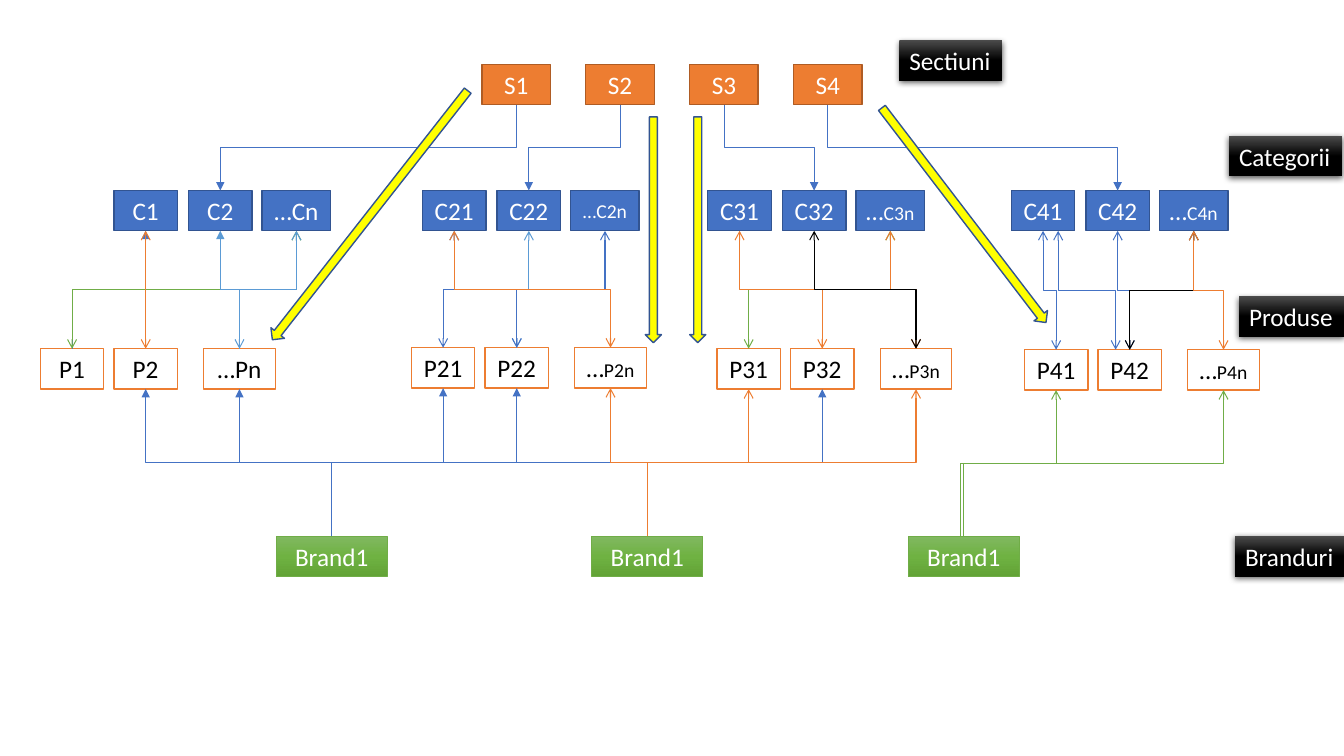
"""Build a one-slide diagram of sections, categories, products and brands."""
from copy import deepcopy

from lxml import etree
from pptx import Presentation
from pptx.dml.color import RGBColor
from pptx.enum.shapes import MSO_CONNECTOR, MSO_SHAPE
from pptx.enum.text import MSO_ANCHOR, MSO_AUTO_SIZE, PP_ALIGN
from pptx.oxml.ns import qn
from pptx.util import Pt

RECTANGLE, ARROW = MSO_SHAPE.RECTANGLE, MSO_SHAPE.RIGHT_ARROW
ELBOW = MSO_CONNECTOR.ELBOW
TOP, MIDDLE = MSO_ANCHOR.TOP, MSO_ANCHOR.MIDDLE
LEFT, CENTER = PP_ALIGN.LEFT, PP_ALIGN.CENTER
FIT = MSO_AUTO_SIZE.SHAPE_TO_FIT_TEXT
PX = 9144
BOX_HEIGHT = 40
COLORS = {
    "orange": "ED7D31", "rust": "AF5C24", "blue": "4472C4", "navy": "325491",
    "sky": "5B9BD5", "green": "70AD47", "yellow": "FFFF00", "white": "FFFFFF",
    "black": "000000", "gray": "4B4B4B", "leaf": "81B861", "grass": "6FB242",
    "moss": "62A336",
}
RGB = {name: RGBColor.from_string(value) for name, value in COLORS.items()}

deck = Presentation()
deck.slide_width, deck.slide_height = 1333 * PX, 750 * PX
page = deck.slides.add_slide(deck.slide_layouts[6])
boxes = {}


def add_box(text, left, top, width, *, fills, outline=None, weight=1, color="white",
            sizes=(18, 14), anchor=TOP, align=CENTER, wrap=True):
    """Add a rectangle; a bar in the text starts the second size."""
    box = page.shapes.add_shape(RECTANGLE, left * PX, top * PX, width * PX, BOX_HEIGHT * PX)
    box.shadow.inherit = False
    if len(fills) == 1:
        box.fill.solid()
        box.fill.fore_color.rgb = RGB[fills[0]]
    else:
        box.fill.gradient()
        box.fill.gradient_angle = 270
        stops = box.element.find(".//" + qn("a:gsLst"))
        stops.insert(1, deepcopy(stops[0]))
        for stop, fill, position in zip(box.fill.gradient_stops, fills, (0, 0.5, 1)):
            stop.color.rgb = RGB[fill]
            stop.position = position
    if outline:
        box.line.color.rgb = RGB[outline]
        box.line.width = Pt(weight)
    else:
        box.line.fill.background()
    frame = box.text_frame
    frame.word_wrap = wrap
    frame.vertical_anchor = anchor
    if anchor == TOP:
        frame.auto_size = FIT
    para = frame.paragraphs[0]
    para.alignment = align
    for part, size in zip(text.split("|"), sizes):
        span = para.add_run()
        span.text = part
        span.font.name = "Calibri"
        span.font.size = Pt(size)
        span.font.color.rgb = RGB[color]
    return box


def add_route(start, end, color, weight, head, tail, start_shift=0, end_shift=0):
    """Join two boxes with an elbow that leaves and arrives vertically."""
    down = start.top < end.top
    start_side, end_side = (2, 0) if down else (0, 2)
    x1 = start.left + start.width // 2 + start_shift * PX
    x2 = end.left + end.width // 2 + end_shift * PX
    y1 = start.top + (start.height if down else 0)
    y2 = end.top + (0 if down else end.height)
    route = page.shapes.add_connector(ELBOW, x1, y1, x2, y2)
    if not start_shift:
        route.begin_connect(start, start_side)
    if not end_shift:
        route.end_connect(end, end_side)
    route.width, route.height = abs(y2 - y1), abs(x2 - x1)
    route.left = (x1 + x2 - route.width) // 2
    route.top = (y1 + y2 - route.height) // 2
    frame = route.element.spPr.find(qn("a:xfrm"))
    frame.set("rot", str((90 if down else 270) * 60000))
    frame.set("flipH", "0")
    frame.set("flipV", "1" if (x2 > x1) == down else "0")
    route.line.color.rgb = RGB[color]
    route.line.width = Pt(weight)
    stroke = route.element.spPr.find(qn("a:ln"))
    for tag, kind in (("a:headEnd", head), ("a:tailEnd", tail)):
        etree.SubElement(stroke, qn(tag), type=kind)
    etree.SubElement(route.element.spPr, qn("a:effectLst"))


for index in range(4):
    name = f"S{index + 1}"
    boxes[name] = add_box(name, 478 + 103 * index, 64, 68, fills=["orange"], outline="rust")

categories = [
    (113, ("C1", "C2", "…Cn")), (419, ("C21", "C22", "…C2n")),
    (702, ("C31", "C32", "…|C3n")), (1003, ("C41", "C42", "…|C4n")),
]
for left, names in categories:
    for name, offset, width in zip(names, (0, 74, 147), (63, 63, 68)):
        boxes[name.lstrip("…|")] = add_box(
            name, left + offset, 189, width, fills=["blue"], outline="navy", anchor=MIDDLE,
            sizes=(14,) if name == "…C2n" else (18, 14))

products = [
    (40, 346, ("P1", "P2", "…Pn")), (408, 345, ("P21", "P22", "…|P2n")),
    (711, 346, ("P31", "P32", "…|P3n")), (1016, 347, ("P41", "P42", "…|P4n")),
]
for left, top, names in products:
    for name, offset, width in zip(names, (0, 73, 162), (63, 63, 71)):
        boxes[name.lstrip("…|")] = add_box(
            name, left + offset, top, width, fills=["white"], outline="orange", color="black")

for index, left in enumerate((274, 587, 901), 1):
    boxes[f"B{index}"] = add_box("Brand1", left, 532, 110, fills=["leaf", "grass", "moss"],
                                 outline="green", weight=0.5)

labels = [("Sectiuni", 892, 40, 102), ("Categorii", 1219, 135, 112),
          ("Produse", 1229, 294, 104), ("Branduri", 1225, 532, 109)]
for text, left, top, width in labels:
    label = add_box(text, left, top, width, fills=["gray", "black", "black"],
                    align=LEFT, wrap=False)
    effects = label.element.spPr.find(qn("a:effectLst"))
    shadow = etree.SubElement(effects, qn("a:outerShdw"), blurRad=str(Pt(4.5)),
                              dist=str(Pt(1.5)), dir="5400000", algn="ctr", rotWithShape="0")
    shade = etree.SubElement(shadow, qn("a:srgbClr"), val=COLORS["black"])
    etree.SubElement(shade, qn("a:alpha"), val="63000")

SOLID = (0.5, "none", "triangle")
DOUBLE = (0.75, "arrow", "arrow")
OPEN = (0.75, "none", "arrow")
routes = [
    (SOLID, "blue", "S1 C2, S2 C22, S3 C32, S4 C42, P1 C1"),
    (DOUBLE, "green", "P1 Cn"),
    (DOUBLE, "orange", "P2 C1"),
    (SOLID, "sky", "Pn C2"),
    (DOUBLE, "sky", "Pn Cn"),
    (DOUBLE, "blue", "P21 C21"),
    (DOUBLE, "sky", "P22 C22"),
    (DOUBLE, "blue", "P22 C2n"),
    (DOUBLE, "orange", "P2n C21"),
    (DOUBLE, "green", "P31 C3n"),
    (DOUBLE, "orange", "P32 C31, P3n C3n"),
    (DOUBLE, "black", "P3n C32"),
    (DOUBLE, "blue", "P41 C41, P42 C42"),
    (DOUBLE, "black", "P42 C4n"),
    (DOUBLE, "orange", "P4n C4n"),
    (SOLID, "blue", "B1 P2, B1 Pn, B1 P22, B1 P21, B1 P32"),
    (OPEN, "orange", "B2 P2n, B2 P31, B2 P3n"),
    (OPEN, "green", "B3 P41"),
]
for style, color, pairs in routes:
    for pair in pairs.split(", "):
        start, end = pair.split()
        add_route(boxes[start], boxes[end], color, *style)
add_route(boxes["P42"], boxes["C41"], "blue", *DOUBLE, start_shift=-14, end_shift=15)
add_route(boxes["B3"], boxes["P4n"], "green", *OPEN, start_shift=-3)

big_arrows = [(210, 205, 314, 17, 128.1), (536, 220, 224, 16, 90),
              (580, 220, 224, 16, 90), (822, 205, 268, 17, 52.6)]
for left, top, width, height, angle in big_arrows:
    arrow = page.shapes.add_shape(ARROW, left * PX, top * PX, width * PX, height * PX)
    arrow.rotation = angle
    arrow.shadow.inherit = False
    arrow.fill.solid()
    arrow.fill.fore_color.rgb = RGB["yellow"]
    arrow.line.color.rgb = RGB["navy"]
    arrow.line.width = Pt(1)

deck.save("out.pptx")
